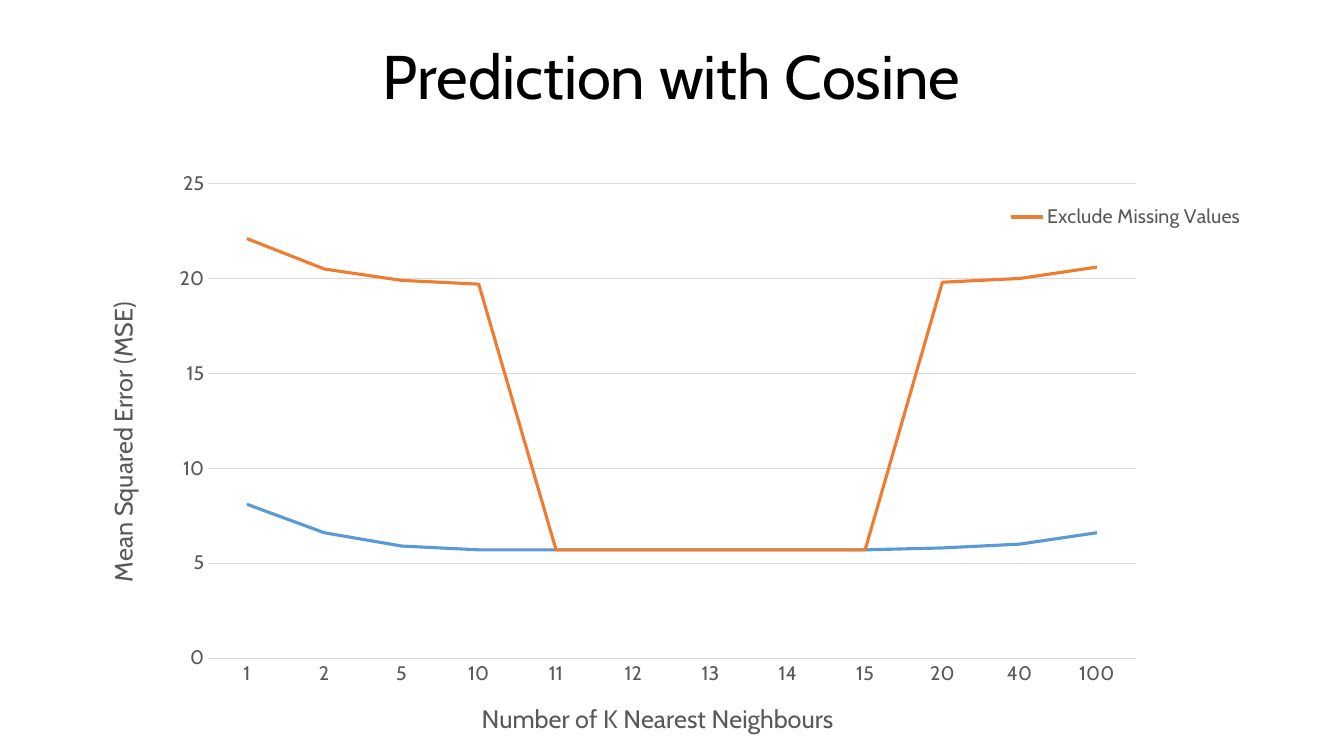
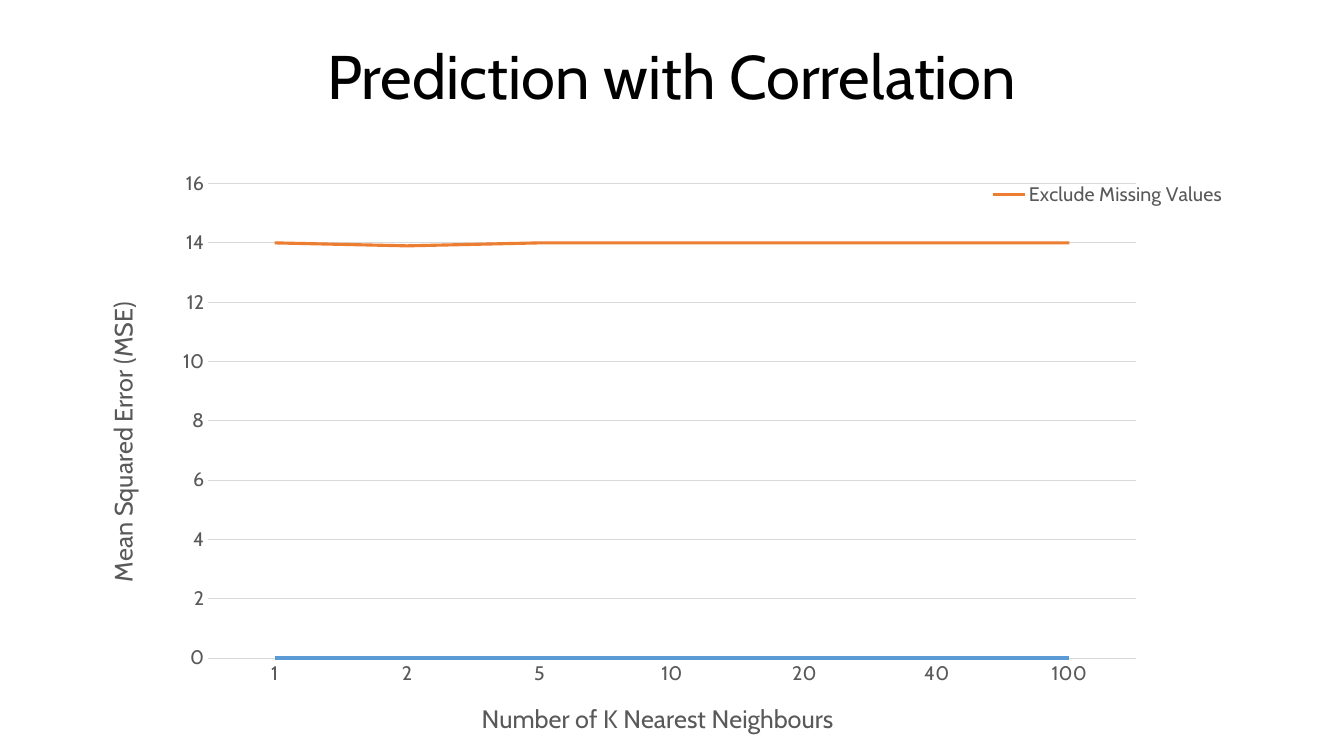
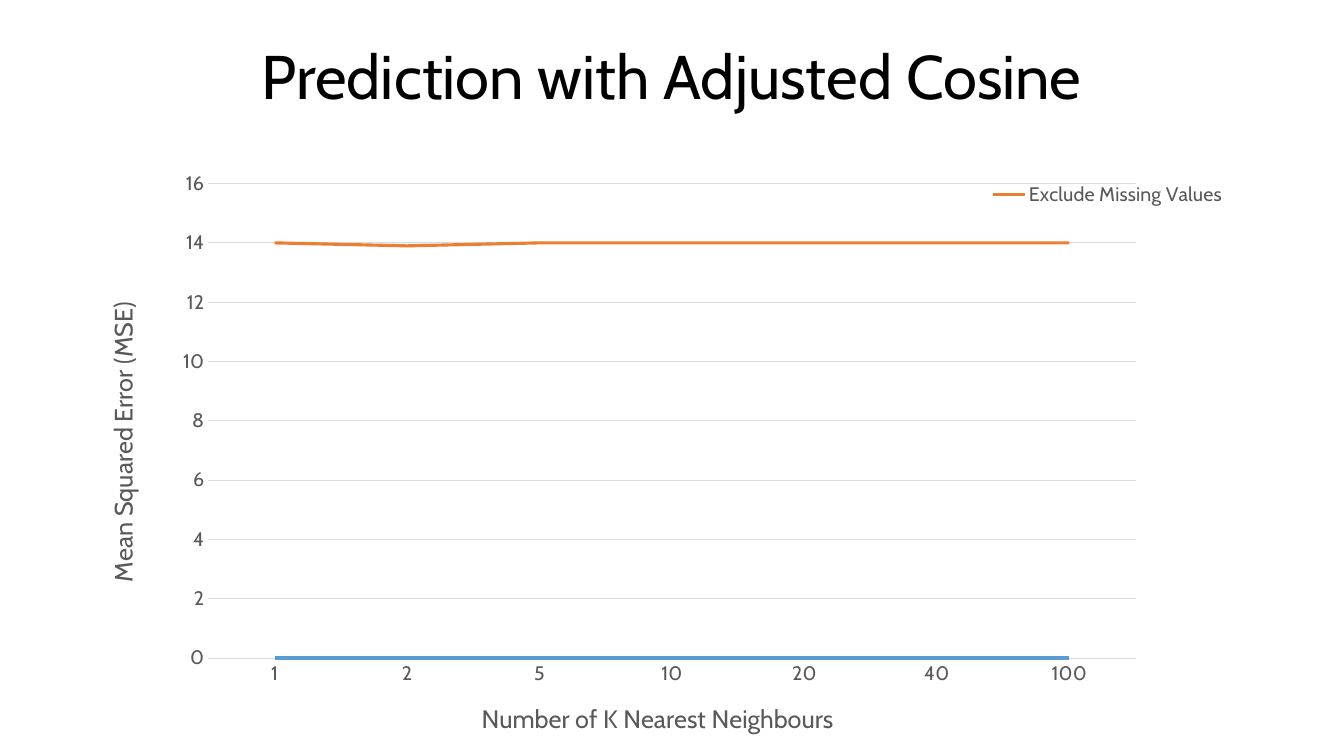
from lxml.etree import SubElement
from pptx import Presentation
from pptx.chart.data import CategoryChartData
from pptx.dml.color import RGBColor
from pptx.enum.chart import XL_CHART_TYPE as ChartType, XL_LEGEND_POSITION as LegendPosition
from pptx.enum.chart import XL_MARKER_STYLE as MarkerStyle, XL_TICK_MARK as TickMark
from pptx.enum.text import MSO_ANCHOR as Anchor, PP_ALIGN as Align
from pptx.oxml.ns import qn
from pptx.util import Cm, Pt

COLORS = {
    "title": "000000",
    "label": "595959",
    "grid": "D9D9D9",
    "default": "5B9BD5",
    "exclude": "ED7D31",
}
FONT = "Cabin"
WIDTH, HEIGHT, TITLE_HEIGHT = 33.87, 19.05, 4.01
X_TITLE = ("Number of K Nearest Neighbours", 35.5, 90)
Y_TITLE = ("Mean Squared Error (MSE)", 7.5, 23.2)
PLOT_PERCENT = (15.5, 4.1, 69, 79.5)
SERIES = [("", "default"), ("Exclude Missing Values", "exclude")]

COSINE = {
    "categories": ["1", "2", "5", "10", "11", "12", "13", "14", "15", "20", "40", "100"],
    "values": [
        [8.1, 6.6, 5.9, 5.7, 5.7, 5.7, 5.7, 5.7, 5.7, 5.8, 6, 6.6],
        [14, 13.9, 14, 14, None, None, None, None, None, 14, 14, 14],
    ],
    "scale": (25, 5),
    "legend": (74.75, 7),
}
FLAT = {
    "categories": ["1", "2", "5", "10", "20", "40", "100"],
    "values": [[0] * 7, [14, 13.9, 14, 14, 14, 14, 14]],
    "scale": (16, 2),
    "legend": (73.4, 3.2),
}
SLIDES = [
    ("Prediction with Cosine", COSINE),
    ("Prediction with Correlation", FLAT),
    ("Prediction with Adjusted Cosine", FLAT),
]


def color(name):
    return RGBColor.from_string(COLORS[name])


def style_font(font, size, color_name):
    font.name = FONT
    font.size = Pt(size)
    font.bold = False
    font.color.rgb = color(color_name)


def style_line(line, color_name, width):
    line.color.rgb = color(color_name)
    line.width = Pt(width)


def place(element, percents, inner=False):
    layout = element.find(qn("c:layout"))
    if layout is None:
        layout = SubElement(element, qn("c:layout"))
    for child in list(layout):
        layout.remove(child)
    manual = SubElement(layout, qn("c:manualLayout"))
    if inner:
        SubElement(manual, qn("c:layoutTarget")).set("val", "inner")
    for mode in ("xMode", "yMode"):
        SubElement(manual, qn(f"c:{mode}")).set("val", "edge")
    for key, percent in zip("xywh", percents):
        SubElement(manual, qn(f"c:{key}")).set("val", f"{percent / 100:.4f}")
    return layout


def add_title(slide, text):
    box = slide.shapes.add_textbox(Cm(0), Cm(0), Cm(WIDTH), Cm(TITLE_HEIGHT))
    frame = box.text_frame
    frame.word_wrap = True
    frame.vertical_anchor = Anchor.MIDDLE
    para = frame.paragraphs[0]
    para.alignment = Align.CENTER
    para.line_spacing = 0.9
    span = para.add_run()
    span.text = text
    style_font(span.font, 44, "title")


def style_axis(axis, title):
    text, left, top = title
    axis.major_tick_mark = axis.minor_tick_mark = TickMark.NONE
    style_font(axis.tick_labels.font, 14, "label")
    span = axis.axis_title.text_frame.paragraphs[0].add_run()
    span.text = text
    style_font(span.font, 18, "label")
    heading = axis.axis_title._element
    heading.find(qn("c:tx")).addnext(place(heading, (left, top)))


def style_legend(chart, position):
    chart.has_legend = True
    legend = chart.legend
    legend.position = LegendPosition.RIGHT
    legend.include_in_layout = True
    style_font(legend.font, 14, "label")
    marker = legend._element.find(qn("c:legendPos"))
    marker.addnext(place(legend._element, position))
    entry = SubElement(legend._element, qn("c:legendEntry"))
    SubElement(entry, qn("c:idx")).set("val", "0")
    SubElement(entry, qn("c:delete")).set("val", "1")
    marker.addnext(entry)


def add_error_chart(slide, content):
    data = CategoryChartData()
    data.categories = content["categories"]
    for (name, _), values in zip(SERIES, content["values"]):
        data.add_series(name, values)
    chart = slide.shapes.add_chart(
        ChartType.LINE_STACKED, Cm(0), Cm(TITLE_HEIGHT), Cm(WIDTH), Cm(HEIGHT - TITLE_HEIGHT), data
    ).chart
    chart.has_title = False
    chart.font.name = "Calibri"
    chart.font.size = Pt(10)
    chart.plots[0].vary_by_categories = False
    for series, (_, color_name) in zip(chart.plots[0].series, SERIES):
        series.smooth = False
        series.marker.style = MarkerStyle.NONE
        style_line(series.format.line, color_name, 2.25)

    style_axis(chart.category_axis, X_TITLE)
    style_line(chart.category_axis.format.line, "grid", 0.75)
    value_axis = chart.value_axis
    style_axis(value_axis, Y_TITLE)
    value_axis.minimum_scale = 0
    value_axis.maximum_scale, value_axis.major_unit = content["scale"]
    value_axis.format.line.fill.background()
    style_line(value_axis.major_gridlines.format.line, "grid", 0.75)

    style_legend(chart, content["legend"])
    root = chart._chartSpace.chart
    plot_area = root.find(qn("c:plotArea"))
    plot_area.insert(0, place(plot_area, PLOT_PERCENT, inner=True))
    root.find(qn("c:dispBlanksAs")).set("val", "zero")


def main():
    deck = Presentation()
    deck.slide_width, deck.slide_height = Cm(WIDTH), Cm(HEIGHT)
    for title, content in SLIDES:
        slide = deck.slides.add_slide(deck.slide_layouts[6])
        add_title(slide, title)
        add_error_chart(slide, content)
    deck.save("out.pptx")


if __name__ == "__main__":
    main()
